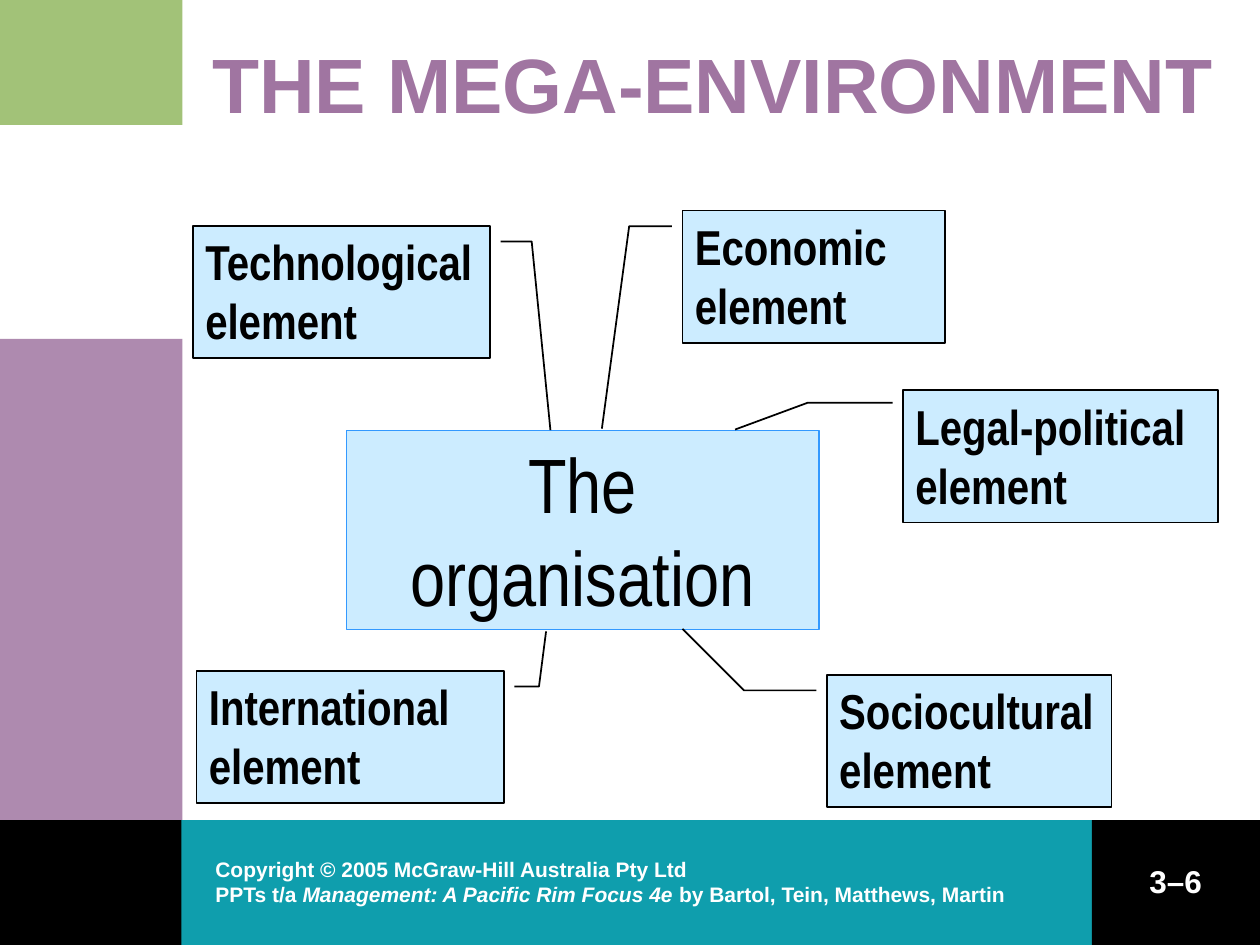
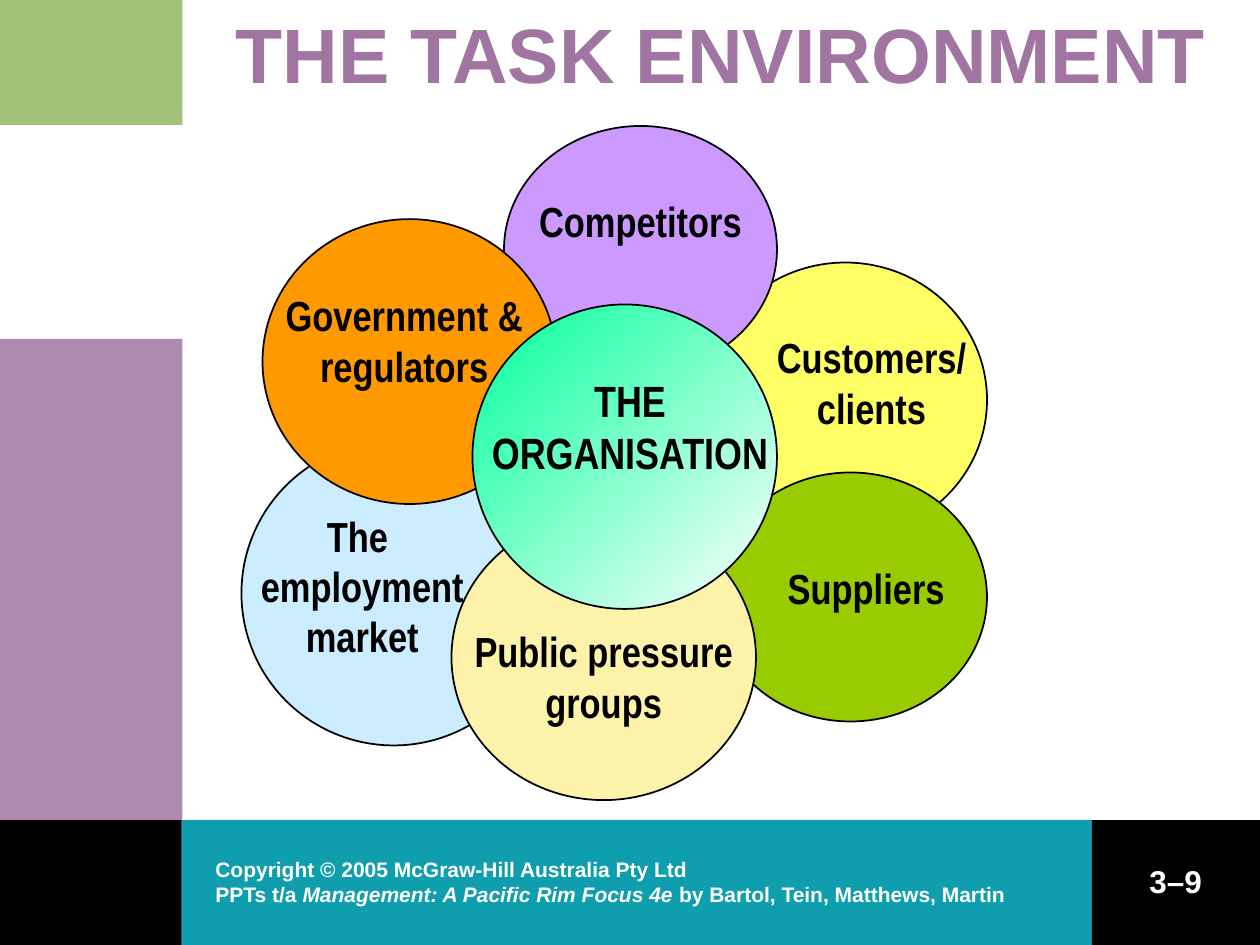
from collections import namedtuple

from pptx import Presentation
from pptx import util as u
from pptx.dml.color import RGBColor
from pptx.enum import shapes, text

COLORS = {
    "teal": "0F9EAD",
    "leaf": "A2C278",
    "mauve": "AE8AAF",
    "title": "A075A1",
    "black": "000000",
    "white": "FFFFFF",
    "sky": "CCECFF",
    "azure": "3399FF",
    "yellow": "FFFF66",
    "violet": "CC99FF",
    "green": "99CC00",
    "orange": "FF9900",
    "cream": "FCF2AA",
    "mint": "00FF99",
}
SANS = "Arial"
NARROW = "Arial Narrow"
LEFT = text.PP_ALIGN.LEFT
CENTER = text.PP_ALIGN.CENTER
TOP = text.MSO_ANCHOR.TOP
KIND = shapes.MSO_SHAPE

Box = namedtuple("Box", "left top width height")

PAGE = Box(0, 0, 720, 540)
FOOTER = Box(0, 468.6, 720, 71.4)
SIDE_WIDTH = 104.2
NUMBER_LEFT = 624

ELEMENTS = [
    ("Sociocultural element", Box(472.5, 385.5, 162.7, 75.6),
     (0.119, -0.037, 0.119, -0.291, -0.346, -0.507)),
    ("Legal-political element", Box(516, 223, 180, 75.6),
     (0.095, -0.033, 0.095, -0.303, 0.297, -0.533)),
    ("International element", Box(112.3, 383.3, 175.7, 75.6),
     (0.119, 1.034, 0.119, 1.114, -0.298, 1.137)),
    ("Technological element", Box(110.2, 129, 170, 75.6),
     (0.119, 1.035, 0.119, 1.139, 1.545, 1.202)),
    ("Economic element", Box(390, 120.3, 150, 75.6),
     (0.119, -0.04, 0.119, -0.203, 1.649, -0.307)),
]

Petal = namedtuple("Petal", "label fill circle label_box")
PETALS = [
    Petal("Customers/\nclients", "yellow",
          Box(402, 150, 162, 157), Box(396, 186, 204, 64.8)),
    Petal("Competitors", "violet",
          Box(288, 72, 156, 141), Box(294, 108, 144, 36)),
    Petal("Suppliers", "green",
          Box(408, 270, 156, 142.3), Box(402, 318, 186, 36)),
    Petal("The \nemployment market", "sky",
          Box(138, 252, 174, 174), Box(114, 288, 186, 93.6)),
    Petal("Government & regulators", "orange",
          Box(150, 125.2, 168, 162.8), Box(138, 162, 186, 64.8)),
    Petal("Public pressure groups", "cream",
          Box(258, 294, 174, 163.2), Box(252, 354, 186, 64.8)),
]


def color(name):
    return RGBColor.from_string(COLORS[name])


def points(box):
    return [u.Pt(value) for value in box]


def draw_shape(page, kind, box, fill, line=None):
    shape = page.shapes.add_shape(kind, *points(box))
    shape.shadow.inherit = False
    shape.fill.solid()
    shape.fill.fore_color.rgb = color(fill)
    if line:
        shape.line.color.rgb = color(line)
        shape.line.width = u.Pt(1)
    else:
        shape.line.fill.background()
    return shape


def style(para, size, font=SANS, ink="black", bold=True, align=LEFT):
    para.alignment = align
    para.font.size = u.Pt(size)
    para.font.name = font
    para.font.bold = bold
    para.font.color.rgb = color(ink)


def write(shape, words, size, anchor=TOP, **look):
    frame = shape.text_frame
    frame.word_wrap = True
    frame.auto_size = text.MSO_AUTO_SIZE.NONE
    frame.vertical_anchor = anchor
    para = frame.paragraphs[0]
    para.text = words
    style(para, size, **look)
    return para


def draw_label(page, box, words, size, **look):
    return write(page.shapes.add_textbox(*points(box)), words, size, **look)


def draw_side(page, box):
    draw_shape(page, KIND.RECTANGLE, Box(box.left, box.top, SIDE_WIDTH, 71.4), "leaf")
    draw_shape(page, KIND.RECTANGLE,
               Box(box.left, box.top + 193.7, SIDE_WIDTH, FOOTER.top - 193.7), "mauve")


def draw_footer(page, box, number):
    bands = [(SIDE_WIDTH - 5, NUMBER_LEFT, "teal"), (0, SIDE_WIDTH - 0.5, "black"),
             (NUMBER_LEFT, box.width, "black")]
    for start, end, fill in bands:
        draw_shape(page, KIND.RECTANGLE,
                   Box(box.left + start, box.top, end - start, box.height), fill)
    para = draw_label(page, Box(box.left + 116, box.top + 17.4, 502, 36),
                      "Copyright © 2005 McGraw-Hill Australia Pty Ltd \nPPTs t/a ",
                      12, ink="white")
    book = para.add_run()
    book.text = "Management: A Pacific Rim Focus 4e"
    book.font.italic = True
    para.add_run().text = " by Bartol, Tein, Matthews, Martin"
    draw_label(page, Box(box.left + 638, box.top + 16.7, 67.7, 36), number, 18,
               ink="white", align=CENTER, anchor=text.MSO_ANCHOR.MIDDLE)


def add_page(deck, title, title_box, number):
    page = deck.slides.add_slide(deck.slide_layouts[5])
    draw_side(page, PAGE)
    draw_footer(page, FOOTER, number)
    heading = page.shapes.title
    heading.left, heading.top, heading.width, heading.height = points(title_box)
    write(heading, title, 44, ink="title", anchor=text.MSO_ANCHOR.BOTTOM)
    return page


def draw_mega_environment(page, box):
    center = draw_shape(page, KIND.RECTANGLE, box, "sky", "azure")
    write(center, "The organisation", 44, font=NARROW, bold=False, align=CENTER)
    for words, element_box, leader in ELEMENTS:
        callout = draw_shape(page, KIND.LINE_CALLOUT_2, element_box, "sky", "black")
        for index, value in enumerate(leader):
            callout.adjustments[index] = value
        write(callout, words, 28, font=NARROW)


def draw_task_environment(page, box):
    for petal in PETALS:
        draw_shape(page, KIND.OVAL, petal.circle, petal.fill, "black")
        draw_label(page, petal.label_box, petal.label, 24, font=NARROW, align=CENTER)
    core = draw_shape(page, KIND.OVAL, box, "mint", "black")
    core.fill.gradient()
    core.fill.gradient_angle = 315
    for stop, name, position in zip(core.fill.gradient_stops, ("mint", "white"), (0, 1)):
        stop.color.rgb = color(name)
        stop.position = position
    draw_label(page, Box(box.left, box.top + 36, 180, 67), "THE ORGANISATION", 25,
               font=NARROW, align=CENTER)


def main():
    deck = Presentation()
    deck.slide_width, deck.slide_height = u.Pt(PAGE.width), u.Pt(PAGE.height)
    mega = add_page(deck, "THE MEGA-ENVIRONMENT", Box(114, 15, 588, 62), "3–6")
    draw_mega_environment(mega, Box(198, 246, 270, 113.8))
    task = add_page(deck, "THE TASK ENVIRONMENT", Box(127.5, 0, 592.5, 60.3), "3–9")
    draw_task_environment(task, Box(270, 174, 174, 174))
    deck.save("out.pptx")


if __name__ == "__main__":
    main()
